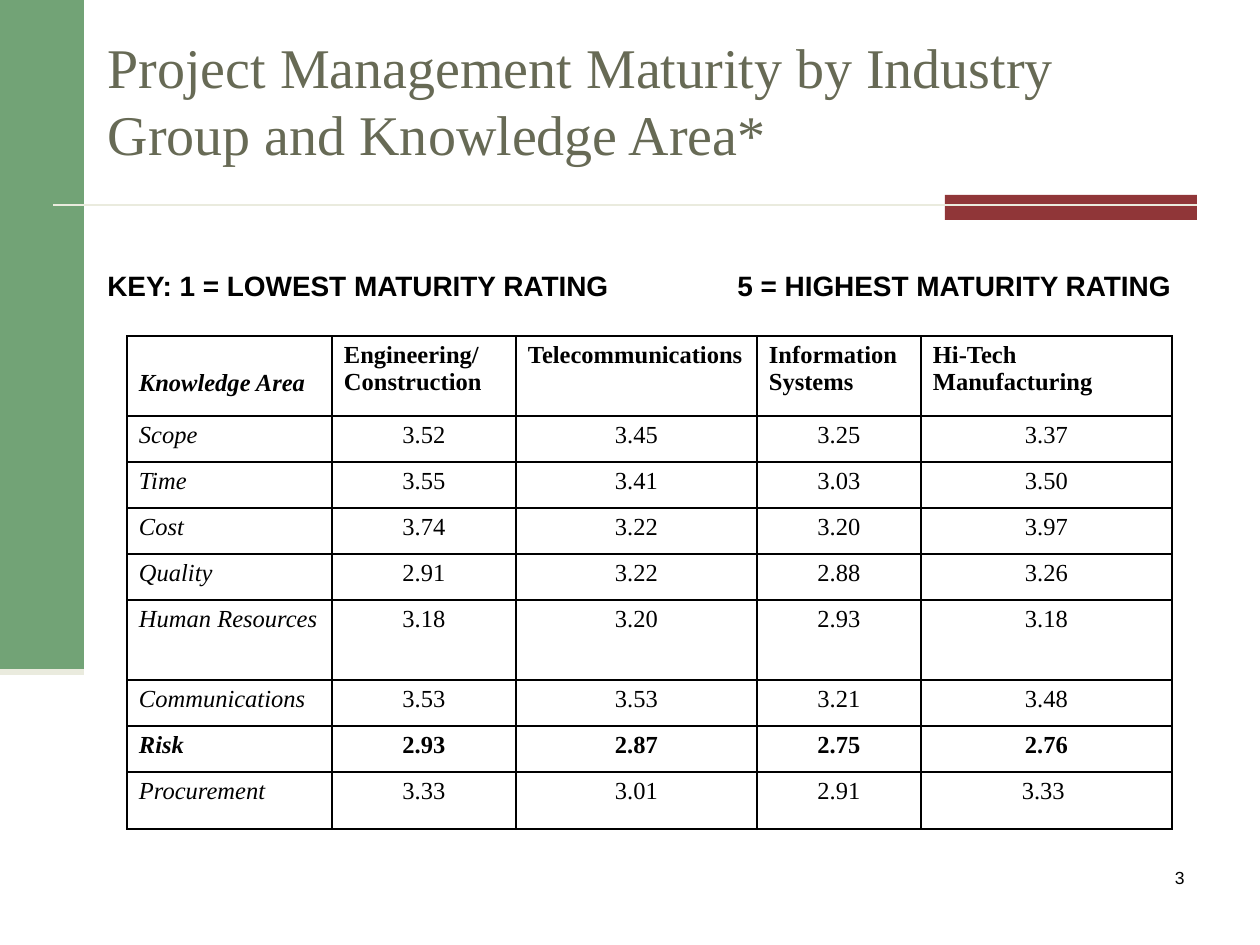
from dataclasses import dataclass
from lxml.etree import SubElement
from pptx import Presentation
from pptx.dml.color import RGBColor
from pptx.enum.shapes import MSO_CONNECTOR, MSO_SHAPE
from pptx.enum.text import MSO_ANCHOR, MSO_AUTO_SIZE, PP_ALIGN
from pptx.oxml.ns import qn
from pptx.util import Pt


@dataclass(frozen=True)
class Theme:
    green: str = "72A376"
    red: str = "903638"
    cream: str = "EAEBDE"
    olive: str = "676A55"
    black: str = "000000"
    serif: str = "Times New Roman"
    sans: str = "Arial"
    title: int = 32
    key: int = 16
    cell: int = 14
    number: int = 10


T = Theme()
EMU_PER_PX = 914400 / 126
COLS = [205, 184, 241, 164, 251]
ROWS = [80, 46, 46, 46, 46, 80, 46, 46, 57]
DATA = [
    ["Knowledge Area", "Engineering/ Construction", "Telecommunications",
     "Information Systems", "Hi-Tech Manufacturing"],
    ["Scope", "3.52", "3.45", "3.25", "3.37"],
    ["Time", "3.55", "3.41", "3.03", "3.50"],
    ["Cost", "3.74", "3.22", "3.20", "3.97"],
    ["Quality", "2.91", "3.22", "2.88", "3.26"],
    ["Human Resources", "3.18", "3.20", "2.93", "3.18"],
    ["Communications", "3.53", "3.53", "3.21", "3.48"],
    ["Risk", "2.93", "2.87", "2.75", "2.76"],
    ["Procurement", "3.33", "3.01", "2.91", "3.33 "],
]


def px(n):
    return round(n * EMU_PER_PX)


def put(obj, **values):
    for name, value in values.items():
        setattr(obj, name, value)


def write(tf, text, size, font, color=T.black, align=PP_ALIGN.LEFT, **style):
    p = tf.paragraphs[0]
    p.alignment = align
    r = p.add_run()
    r.text = text
    put(r.font, size=Pt(size), name=font, **style)
    r.font.color.rgb = RGBColor.from_string(color)
    return p


def add_bar(s, box, color):
    sp = s.shapes.add_shape(MSO_SHAPE.RECTANGLE, *map(px, box))
    sp.shadow.inherit = False
    sp.fill.solid()
    sp.fill.fore_color.rgb = RGBColor.from_string(color)
    sp.line.fill.background()


def add_rule(s, x, y, w, weight):
    ln = s.shapes.add_connector(MSO_CONNECTOR.STRAIGHT, *map(px, (x, y, x + w, y)))
    ln.line.width = Pt(weight)
    ln.line.color.rgb = RGBColor.from_string(T.cream)
    SubElement(ln._element.spPr, qn("a:effectLst"))


def add_sidebar(s, box):
    x, y, w, h = box
    add_bar(s, box, T.green)
    add_rule(s, x, y + h, w, 3.5)


def add_divider(s, box):
    x, y, w, h = box
    accent = 252
    add_bar(s, (x + w - accent, y, accent, h), T.red)
    add_rule(s, x, y + 10, w, 1.5)


def add_title(s, box):
    sp = s.shapes.title
    put(sp, **dict(zip(("left", "top", "width", "height"), map(px, box))))
    tf = sp.text_frame
    put(tf, word_wrap=True, auto_size=MSO_AUTO_SIZE.NONE,
        vertical_anchor=MSO_ANCHOR.MIDDLE)
    write(tf, "Project Management Maturity by Industry Group and Knowledge Area*",
          T.title, T.serif, T.olive)


def add_key(s, box):
    tf = s.shapes.add_textbox(*map(px, box)).text_frame
    put(tf, word_wrap=False, vertical_anchor=MSO_ANCHOR.MIDDLE)
    p = write(tf, "KEY: 1 = LOWEST MATURITY RATING\t5 = HIGHEST MATURITY RATING",
              T.key, T.sans, bold=True)
    tabs = SubElement(p._p.get_or_add_pPr(), qn("a:tabLst"))
    SubElement(tabs, qn("a:tab"), pos=str(px(630)), algn="l")


def add_number(s, box):
    tf = s.shapes.add_textbox(*map(px, box)).text_frame
    tf.word_wrap = True
    write(tf, "3", T.number, T.sans, align=PP_ALIGN.RIGHT)


def add_borders(cell):
    tcPr = cell._tc.get_or_add_tcPr()
    for i, side in enumerate(("lnL", "lnR", "lnT", "lnB")):
        ln = tcPr.makeelement(qn(f"a:{side}"), {"w": str(Pt(1))})
        fill = SubElement(ln, qn("a:solidFill"))
        SubElement(fill, qn("a:srgbClr"), val=T.black)
        tcPr.insert(i, ln)


def add_ratings(s, box):
    tbl = s.shapes.add_table(len(ROWS), len(COLS), *map(px, box)).table
    put(tbl, first_row=False, horz_banding=False)
    for col, w in zip(tbl.columns, COLS):
        col.width = px(w)
    for row, h in zip(tbl.rows, ROWS):
        row.height = px(h)
    for i, values in enumerate(DATA):
        for j, text in enumerate(values):
            cell = tbl.cell(i, j)
            top = 34 if i == j == 0 else 6
            put(cell, margin_left=px(12), margin_right=px(12),
                margin_top=px(top), margin_bottom=px(6))
            cell.fill.background()
            add_borders(cell)
            write(cell.text_frame, text, T.cell, T.serif,
                  align=PP_ALIGN.CENTER if i and j else PP_ALIGN.LEFT,
                  bold=i == 0 or values[0] == "Risk", italic=j == 0)


def main():
    prs = Presentation()
    put(prs, slide_width=px(1260), slide_height=px(945))
    s = prs.slides.add_slide(prs.slide_layouts[5])
    add_sidebar(s, (0, 0, 84, 672))
    add_divider(s, (53, 195, 1144, 25))
    add_title(s, (95, 21, 1102, 158))
    add_number(s, (935, 861, 262, 63))
    add_key(s, (95, 262, 1110, 47))
    add_ratings(s, (127, 336, sum(COLS), sum(ROWS)))
    prs.save("out.pptx")


if __name__ == "__main__":
    main()
